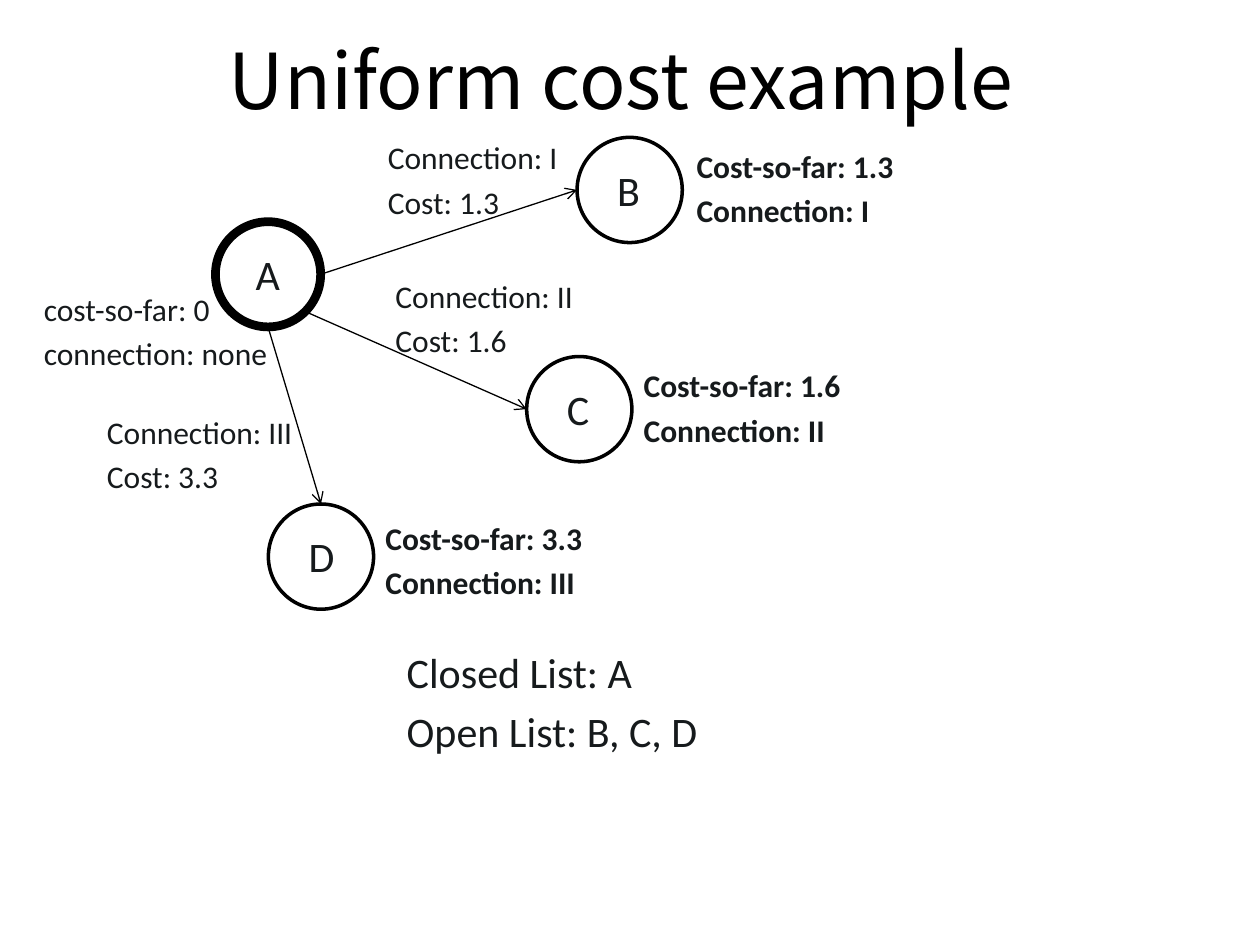
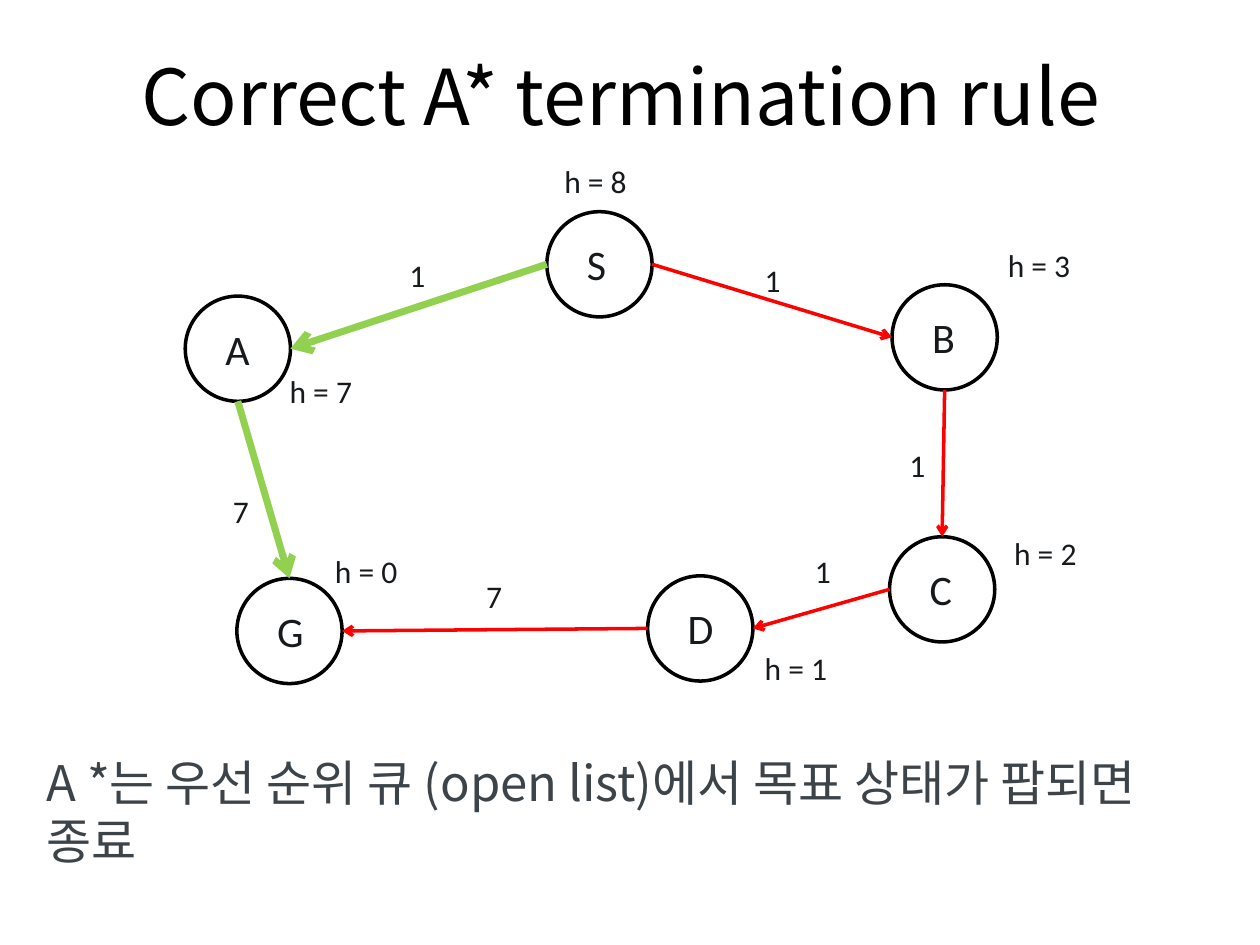
from dataclasses import dataclass
from enum import Enum

from pptx import Presentation, util as u
from pptx.dml.color import RGBColor
from pptx.enum import shapes as sh, text as tx
from pptx.oxml import parse_xml
from pptx.oxml.ns import nsdecls

WIDTH, HEIGHT = u.Inches(10), u.Inches(7.5)
COL, ROW = WIDTH / 100, HEIGHT / 75  # a fine square grid
BLACK, INK, SLATE = "000000", "161A1C", "3D4449"
GREEN, RED = "92D050", "FF0000"
LATIN, CJK = "Calibri", "Noto Sans CJK KR"
DIAM = 8.35
DIAG = 0.5 ** 0.5


class Side(Enum):
    """Unit vector from a circle's centre to a point on its rim."""
    TOP = (0, -1)
    LEFT = (-1, 0)
    BOTTOM = (0, 1)
    RIGHT = (1, 0)
    CORNER = (DIAG, DIAG)


@dataclass(frozen=True)
class Node:
    name: str
    col: float
    row: float
    wide: float = 4
    line: float = 2

    def rim(self, side: Side) -> tuple[float, float]:
        half = DIAM / 2
        dx, dy = side.value
        return self.col + half * (1 + dx), self.row + half * (1 + dy)


@dataclass(frozen=True)
class Edge:
    start: str
    out: Side
    end: str
    into: Side
    color: str = BLACK
    line: float = 0.75


@dataclass(frozen=True)
class Note:
    text: str
    col: float
    row: float
    wide: float
    high: float = 4
    size: float = 18
    bold: bool = False


def rgb(color: str) -> RGBColor:
    return RGBColor.from_string(color)


def place(col: float, row: float, wide: float, high: float) -> list[int]:
    """Turn grid units into lengths."""
    return [round(col * COL), round(row * ROW),
            round(wide * COL), round(high * ROW)]


def style(para, size: float, face: str, color: str, bold: bool = False) -> None:
    font = para.font
    font.size, font.name, font.bold = u.Pt(size), face, bold
    font.color.rgb = rgb(color)
    props = para._p.get_or_add_pPr().get_or_add_defRPr()
    props.append(parse_xml(f'<a:ea {nsdecls("a")} typeface="{face}"/>'))


def write(shapes, note: Note, face: str = LATIN, color: str = INK,
          wrap: bool = False) -> None:
    box = shapes.add_textbox(*place(note.col, note.row, note.wide, note.high))
    frame = box.text_frame
    frame.word_wrap = wrap
    if not wrap:
        frame.auto_size = tx.MSO_AUTO_SIZE.SHAPE_TO_FIT_TEXT
    frame.text = note.text
    for para in frame.paragraphs:
        para.space_before = u.Pt(note.size * 0.2)
        style(para, note.size, face, color, note.bold)


def draw_node(shapes, node: Node) -> None:
    ring = shapes.add_shape(sh.MSO_SHAPE.OVAL,
                            *place(node.col, node.row, DIAM, DIAM))
    ring.shadow.inherit = False
    ring.fill.background()
    ring.line.color.rgb = rgb(BLACK)
    ring.line.width = u.Pt(node.line)
    write(shapes, Note(node.name, node.col + 2.2, node.row + 1.65,
                       node.wide, 5, 24))


def draw_edge(shapes, edge: Edge, nodes: dict[str, Node]) -> None:
    ends = (*nodes[edge.start].rim(edge.out), *nodes[edge.end].rim(edge.into))
    link = shapes.add_connector(sh.MSO_CONNECTOR.STRAIGHT, *place(*ends))
    link.line.color.rgb = rgb(edge.color)
    link.line.width = u.Pt(edge.line)
    link.line._get_or_add_ln().append(
        parse_xml(f'<a:tailEnd {nsdecls("a")} type="arrow"/>'))
    link._element.spPr.append(parse_xml(f'<a:effectLst {nsdecls("a")}/>'))


def add_graph(deck, title: str, top: float, nodes: list[Node],
              edges: list[Edge], notes: list[Note], group: bool = False):
    """Add a titled slide with a graph; group pairs each ring with its name."""
    slide = deck.slides.add_slide(deck.slide_layouts[5])
    shapes = slide.shapes
    head = shapes.title
    head.left, head.top, head.width, head.height = place(4.3, top, 90, 12.5)
    frame = head.text_frame
    frame.text = title
    frame.vertical_anchor = tx.MSO_ANCHOR.MIDDLE
    para = frame.paragraphs[0]
    para.alignment = tx.PP_ALIGN.CENTER
    style(para, 44, CJK, BLACK)
    for node in nodes:
        draw_node(shapes.add_group_shape().shapes if group else shapes, node)
    names = {node.name: node for node in nodes}
    for edge in edges:
        draw_edge(shapes, edge, names)
    for note in notes:
        write(shapes, note)
    return slide


def add_cost(deck) -> None:
    nodes = [Node("A", 17.1, 17.6, line=5), Node("B", 45.8, 10.9, 3.8),
             Node("C", 41.8, 28.3, 3.8), Node("D", 21.3, 40, 4.1)]
    edges = [Edge("A", Side.RIGHT, "B", Side.LEFT),
             Edge("A", Side.CORNER, "C", Side.LEFT),
             Edge("A", Side.BOTTOM, "D", Side.TOP)]
    notes = [Note("cost-so-far: 0\nconnection: none", 2.5, 22.5, 20, 7.7),
             Note("Closed List: A\nOpen List: B, C, D",
                  31.3, 50.8, 25.4, 9.9, 24)]
    for name, cost, link, cost_at in (
            ("I", "1.3", (29.8, 10.5, 15.7), (54.3, 11.2)),
            ("II", "1.6", (30.4, 21.5, 16.3), (50.1, 28.6)),
            ("III", "3.3", (7.5, 32.3, 16.9), (29.6, 40.7))):
        notes += [Note(f"Connection: {name}\nCost: {cost}", *link, 7.7),
                  Note(f"Cost-so-far: {cost}\nConnection: {name}",
                       *cost_at, 17.9, 7.7, bold=True)]
    add_graph(deck, "Uniform cost example", 0, nodes, edges, notes, True)


def add_rule(deck) -> None:
    nodes = [Node("A", 14.7, 23.5), Node("S", 43.4, 16.8, 3.6),
             Node("D", 51.4, 45.7, 4.1), Node("G", 18.8, 45.9, 4.1),
             Node("B", 70.8, 22.6, 3.8), Node("C", 70.6, 42.6, 3.8)]
    good, bad = (GREEN, 4), (RED, 2)
    edges = [Edge("S", Side.LEFT, "A", Side.RIGHT, *good),
             Edge("A", Side.BOTTOM, "G", Side.TOP, *good),
             Edge("S", Side.RIGHT, "B", Side.LEFT, *bad),
             Edge("B", Side.BOTTOM, "C", Side.TOP, *bad),
             Edge("C", Side.LEFT, "D", Side.RIGHT, *bad),
             Edge("D", Side.LEFT, "G", Side.RIGHT, *bad)]
    costs = [(1, 31.5, 19.8), (7, 17.5, 38.6), (1, 59.7, 20.2),
             (1, 71.2, 34.9), (1, 63.7, 43.3), (7, 37.6, 45.3)]
    guesses = [(8, 43.8, 12.4), (7, 22, 29), (0, 25.6, 43.3),
               (3, 79, 19), (2, 79.5, 41.9), (1, 59.7, 51)]
    notes = [Note(str(cost), *at, 3.3) for cost, *at in costs]
    notes += [Note(f"h = {guess}", *at, 7.1) for guess, *at in guesses]
    slide = add_graph(deck, "Correct A* termination rule", 1.3,
                      nodes, edges, notes)
    rule = "A *는 우선 순위 큐 (open list)에서 목표 상태가 팝되면 종료"
    write(slide.shapes, Note(rule, 2.7, 59.2, 90, 11.1, 28), CJK, SLATE, True)


def main() -> None:
    deck = Presentation()
    deck.slide_width, deck.slide_height = WIDTH, HEIGHT
    add_cost(deck)
    add_rule(deck)
    deck.save("out.pptx")


if __name__ == "__main__":
    main()
